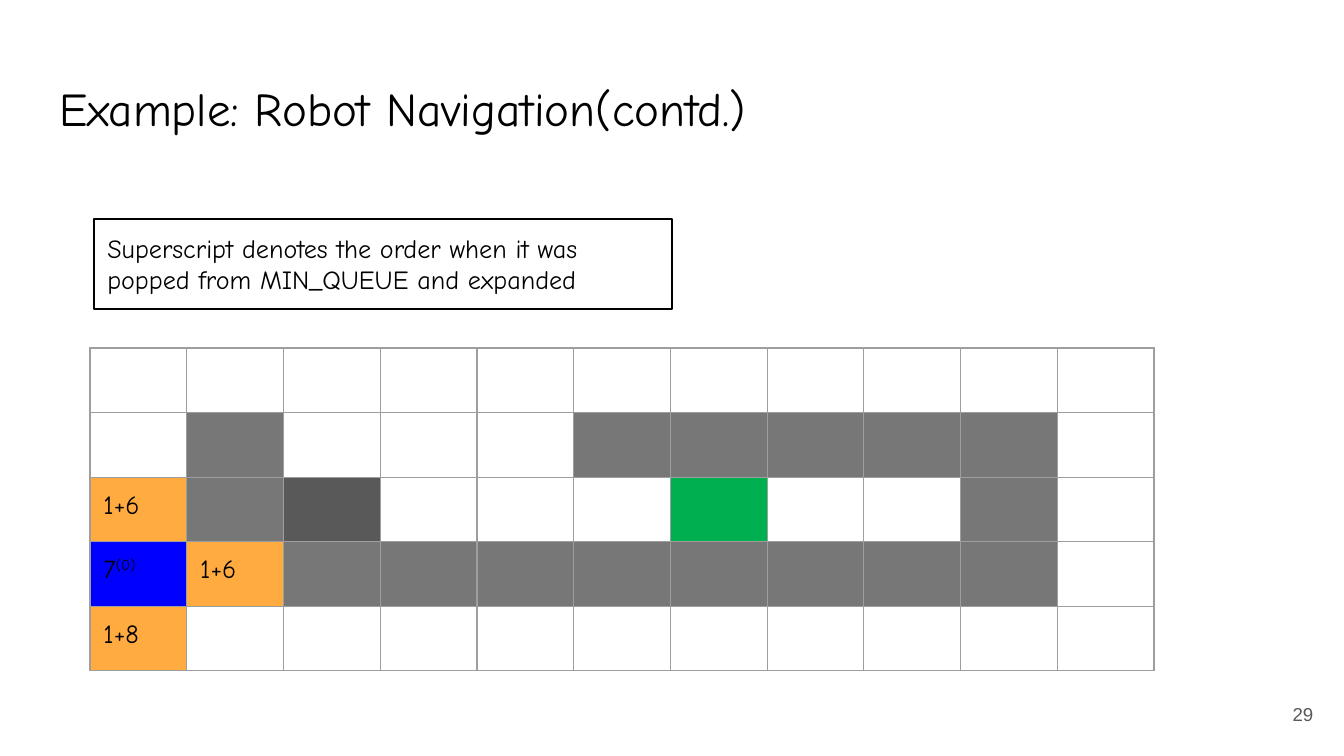
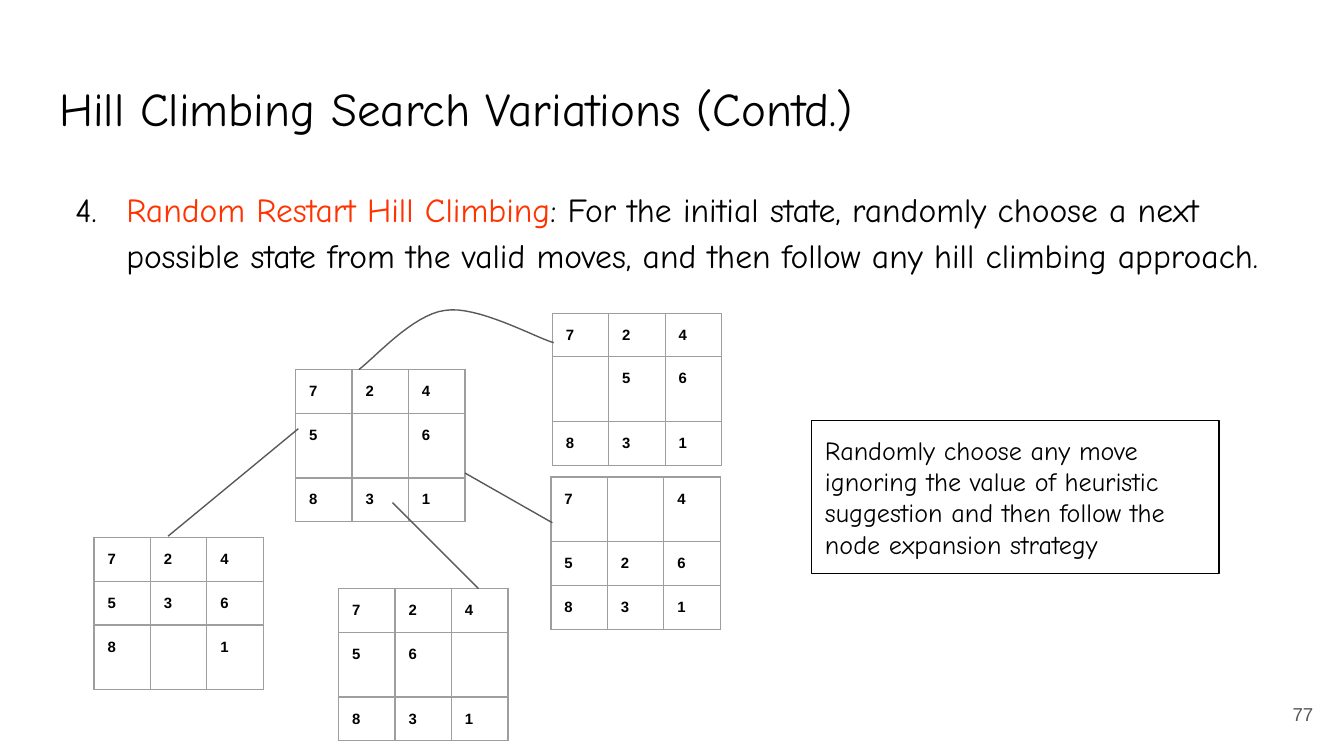
from dataclasses import dataclass

from lxml import etree
from pptx import Presentation
from pptx.dml.color import RGBColor
from pptx.enum.shapes import MSO_CONNECTOR, MSO_SHAPE
from pptx.enum.text import MSO_ANCHOR, MSO_AUTO_SIZE, PP_ALIGN
from pptx.oxml.ns import qn
from pptx.util import Inches, Pt

STRAIGHT = MSO_CONNECTOR.STRAIGHT
RECTANGLE = MSO_SHAPE.RECTANGLE
TOP, MIDDLE = MSO_ANCHOR.TOP, MSO_ANCHOR.MIDDLE
NO_FIT, GROW = MSO_AUTO_SIZE.NONE, MSO_AUTO_SIZE.SHAPE_TO_FIT_TEXT
LEFT, RIGHT = PP_ALIGN.LEFT, PP_ALIGN.RIGHT

COLORS = {
    "text": "000000",
    "muted": "595959",
    "border": "9E9E9E",
    "accent": "FF3300",
    "free": "FFFFFF",
    "wall": "777777",
    "dark wall": "595959",
    "frontier": "FFAB40",
    "start": "0000FF",
    "goal": "00B050",
}
HAND, SANS = "Comic Neue", "Arial"
LINE_WIDTH = Pt(0.75)
INSET = Inches(0.1)
SLIDE_WIDTH = Inches(10)
SLIDE_HEIGHT = SLIDE_WIDTH * 9 // 16
LAYOUT_TITLE_BODY, LAYOUT_TITLE = 1, 5
CURVE_STEPS = 16

Point = tuple[float, float]


@dataclass(frozen=True)
class Box:
    left: float
    top: float
    width: float
    height: float

    def lengths(self) -> tuple:
        return tuple(map(Inches, (self.left, self.top, self.width, self.height)))


@dataclass(frozen=True)
class Puzzle:
    """A 3 x 3 board; a dot in the rows is the blank tile."""
    left: float
    top: float
    rows: tuple[str, str, str]


TITLE_BOX = Box(0.34, 0.49, 9.32, 0.63)
BODY_BOX = Box(0.34, 1.26, 9.32, 3.74)
NUMBER_BOX = Box(9.27, 5.1, 0.6, 0.43)

MAP_KEY = {"w": "free", "g": "wall", "d": "dark wall", "o": "frontier", "b": "start", "t": "goal"}
MAP_ROWS = (
    "wwwwwww....",
    ".g..wggggg.",
    "ogd.wwt..g.",
    "bogggggggg.",
    "o..........",
)
MAP_COSTS = {(2, 0): "1+6", (3, 0): "7", (3, 1): "1+6", (4, 0): "1+8"}
START_CELL, START_ORDER = (3, 0), "(0)"

PUZZLES = (
    Puzzle(2.2, 2.75, ("724", "5.6", "831")),
    Puzzle(4.11, 2.33, ("724", ".56", "831")),
    Puzzle(4.1, 3.55, ("7.4", "526", "831")),
    Puzzle(2.52, 4.38, ("724", "56.", "831")),
    Puzzle(0.7, 4, ("724", "536", "8.1")),
)
MOVES = (
    ((3.46, 3.52), (4.11, 3.89)),
    ((2.92, 3.74), (3.56, 4.38)),
    ((2.22, 3.19), (1.25, 3.99)),
)
# Start, then two controls and an end for each cubic segment
CURVED_MOVE = (
    (2.67, 2.75), (2.78, 2.67), (3.07, 2.34), (3.31, 2.31),
    (3.55, 2.27), (3.98, 2.51), (4.12, 2.55),
)


def color(key: str) -> RGBColor:
    return RGBColor.from_string(COLORS[key])


def style_run(run, size: float, font: str = HAND, fill: str = "text", bold: bool = False) -> None:
    run.font.size = Pt(size)
    run.font.name = font
    run.font.bold = bold
    run.font.color.rgb = color(fill)


def set_frame(frame, anchor=TOP, fit=NO_FIT) -> None:
    frame.word_wrap = True
    frame.auto_size = fit
    frame.vertical_anchor = anchor
    frame.margin_left = frame.margin_right = INSET
    frame.margin_top = frame.margin_bottom = INSET


def place(shape, box: Box) -> None:
    shape.left, shape.top, shape.width, shape.height = box.lengths()


def add_slide(prs, layout: int, heading: str, number: str):
    """Add a slide with its title and page number."""
    slide = prs.slides.add_slide(prs.slide_layouts[layout])
    title = slide.shapes.title
    place(title, TITLE_BOX)
    set_frame(title.text_frame)
    title.text_frame.text = heading
    title_line = title.text_frame.paragraphs[0]
    title_line.alignment = LEFT
    style_run(title_line.runs[0], 25.2)

    page = slide.shapes.add_textbox(*NUMBER_BOX.lengths()).text_frame
    set_frame(page, MIDDLE)
    page.text = number
    page.paragraphs[0].alignment = RIGHT
    style_run(page.paragraphs[0].runs[0], 10, SANS, "muted")
    return slide


def add_note(slide, box: Box, text: str) -> None:
    note = slide.shapes.add_shape(RECTANGLE, *box.lengths())
    note.shadow.inherit = False
    note.fill.background()
    note.line.color.rgb = color("text")
    note.line.width = LINE_WIDTH
    set_frame(note.text_frame, fit=GROW)
    note.text_frame.text = text
    note.text_frame.paragraphs[0].alignment = LEFT
    style_run(note.text_frame.paragraphs[0].runs[0], 14)


def border_cell(cell) -> None:
    properties = cell._tc.get_or_add_tcPr()
    for index, side in enumerate(("lnL", "lnR", "lnT", "lnB")):
        edge = etree.Element(qn(f"a:{side}"), w=str(LINE_WIDTH))
        solid = etree.SubElement(edge, qn("a:solidFill"))
        etree.SubElement(solid, qn("a:srgbClr"), val=COLORS["border"])
        properties.insert(index, edge)


def set_empty_font(cell) -> None:
    """Give a cell without text the font that sets its row height."""
    paragraph = cell.text_frame.paragraphs[0]._p
    end = etree.SubElement(paragraph, qn("a:endParaRPr"), sz="1800")
    etree.SubElement(end, qn("a:latin"), typeface=SANS)


def write_cell(cell, text: str, size: float, font: str = HAND, bold: bool = False) -> None:
    if not text:
        set_empty_font(cell)
        return
    cell.text_frame.text = text
    style_run(cell.text_frame.paragraphs[0].runs[0], size, font, bold=bold)


def add_grid(slide, left: float, top: float, col_width: float, columns: int,
             row_heights: tuple[float, ...]):
    """Add a bordered table without fills and return it."""
    box = Box(left, top, col_width * columns, sum(row_heights))
    grid = slide.shapes.add_table(len(row_heights), columns, *box.lengths()).table
    grid.first_row = grid.horz_banding = False
    for column in grid.columns:
        column.width = Inches(col_width)
    for row, height in zip(grid.rows, row_heights):
        row.height = Inches(height)
    for cell in grid.iter_cells():
        cell.margin_left = cell.margin_right = INSET
        cell.margin_top = cell.margin_bottom = INSET
        cell.fill.background()
        border_cell(cell)
    return grid


def add_map(slide) -> None:
    grid = add_grid(slide, 0.67, 2.59, 0.72, len(MAP_ROWS[0]), (0.42,) * len(MAP_ROWS))
    for r, row in enumerate(MAP_ROWS):
        for c, mark in enumerate(row):
            cell = grid.cell(r, c)
            if mark in MAP_KEY:
                cell.fill.solid()
                cell.fill.fore_color.rgb = color(MAP_KEY[mark])
            write_cell(cell, MAP_COSTS.get((r, c), ""), 14)
    order = grid.cell(*START_CELL).text_frame.paragraphs[0].add_run()
    order.text = START_ORDER
    style_run(order, 14)
    order._r.get_or_add_rPr().set("baseline", "30000")


def add_puzzle(slide, puzzle: Puzzle) -> None:
    grid = add_grid(slide, puzzle.left, puzzle.top, 0.42, 3, (0.2, 0.23, 0.23))
    for r, row in enumerate(puzzle.rows):
        for c, tile in enumerate(row):
            write_cell(grid.cell(r, c), tile.strip("."), 8, SANS, bold=True)


def style_move(move) -> None:
    move.line.color.rgb = color("muted")
    move.line.width = LINE_WIDTH


def add_move(slide, start: Point, end: Point) -> None:
    move = slide.shapes.add_connector(STRAIGHT, *map(Inches, start + end))
    style_move(move)
    etree.SubElement(move._element.spPr, qn("a:effectLst"))


def cubic_point(controls: tuple[Point, ...], t: float) -> Point:
    weights = ((1 - t) ** 3, 3 * t * (1 - t) ** 2, 3 * t ** 2 * (1 - t), t ** 3)
    x, y = (sum(w * p[axis] for w, p in zip(weights, controls)) for axis in (0, 1))
    return x, y


def add_curved_move(slide, controls: tuple[Point, ...]) -> None:
    points = [
        cubic_point(controls[first:first + 4], step / CURVE_STEPS)
        for first in range(0, len(controls) - 1, 3)
        for step in range(1, CURVE_STEPS + 1)
    ]
    builder = slide.shapes.build_freeform(*map(Inches, controls[0]))
    builder.add_line_segments([(Inches(x), Inches(y)) for x, y in points], close=False)
    curve = builder.convert_to_shape()
    curve.shadow.inherit = False
    curve.fill.background()
    style_move(curve)


def fill_body(body, term: str, explanation: str, number: int) -> None:
    """Write one numbered item whose leading term is highlighted."""
    place(body, BODY_BOX)
    set_frame(body.text_frame)
    item = body.text_frame.paragraphs[0]
    item.line_spacing = 1.15
    item.space_before = Pt(0)
    for text, fill in ((term, "accent"), (explanation, "text")):
        run = item.add_run()
        run.text = text
        style_run(run, 18, fill=fill)
    properties = item._p.get_or_add_pPr()
    properties.set("marL", str(Inches(0.5)))
    properties.set("indent", str(Inches(-0.38)))
    bullet_color = etree.SubElement(properties, qn("a:buClr"))
    etree.SubElement(bullet_color, qn("a:srgbClr"), val=COLORS["text"])
    etree.SubElement(properties, qn("a:buFont"), typeface=HAND)
    etree.SubElement(properties, qn("a:buAutoNum"), type="arabicPeriod", startAt=str(number))


def build_navigation(prs) -> None:
    slide = add_slide(prs, LAYOUT_TITLE, "Example: Robot Navigation(contd.)", "29")
    add_map(slide)
    add_note(slide, Box(0.7, 1.63, 4.3, 0.67),
             "Superscript denotes the order when it was popped from MIN_QUEUE and expanded")


def build_hill_climbing(prs) -> None:
    slide = add_slide(prs, LAYOUT_TITLE_BODY, "Hill Climbing Search Variations (Contd.)", "77")
    fill_body(slide.placeholders[1], "Random Restart Hill Climbing",
              ": For the initial state, randomly choose a next possible state from the "
              "valid moves, and then follow any hill climbing approach.", 4)
    for puzzle in PUZZLES:
        add_puzzle(slide, puzzle)
    add_curved_move(slide, CURVED_MOVE)
    for start, end in MOVES:
        add_move(slide, start, end)
    add_note(slide, Box(6.04, 3.13, 3.03, 1.14),
             "Randomly choose any move ignoring the value of heuristic suggestion "
             "and then follow the node expansion strategy")


def main() -> None:
    prs = Presentation()
    prs.slide_width, prs.slide_height = SLIDE_WIDTH, SLIDE_HEIGHT
    build_navigation(prs)
    build_hill_climbing(prs)
    prs.save("out.pptx")


if __name__ == "__main__":
    main()
